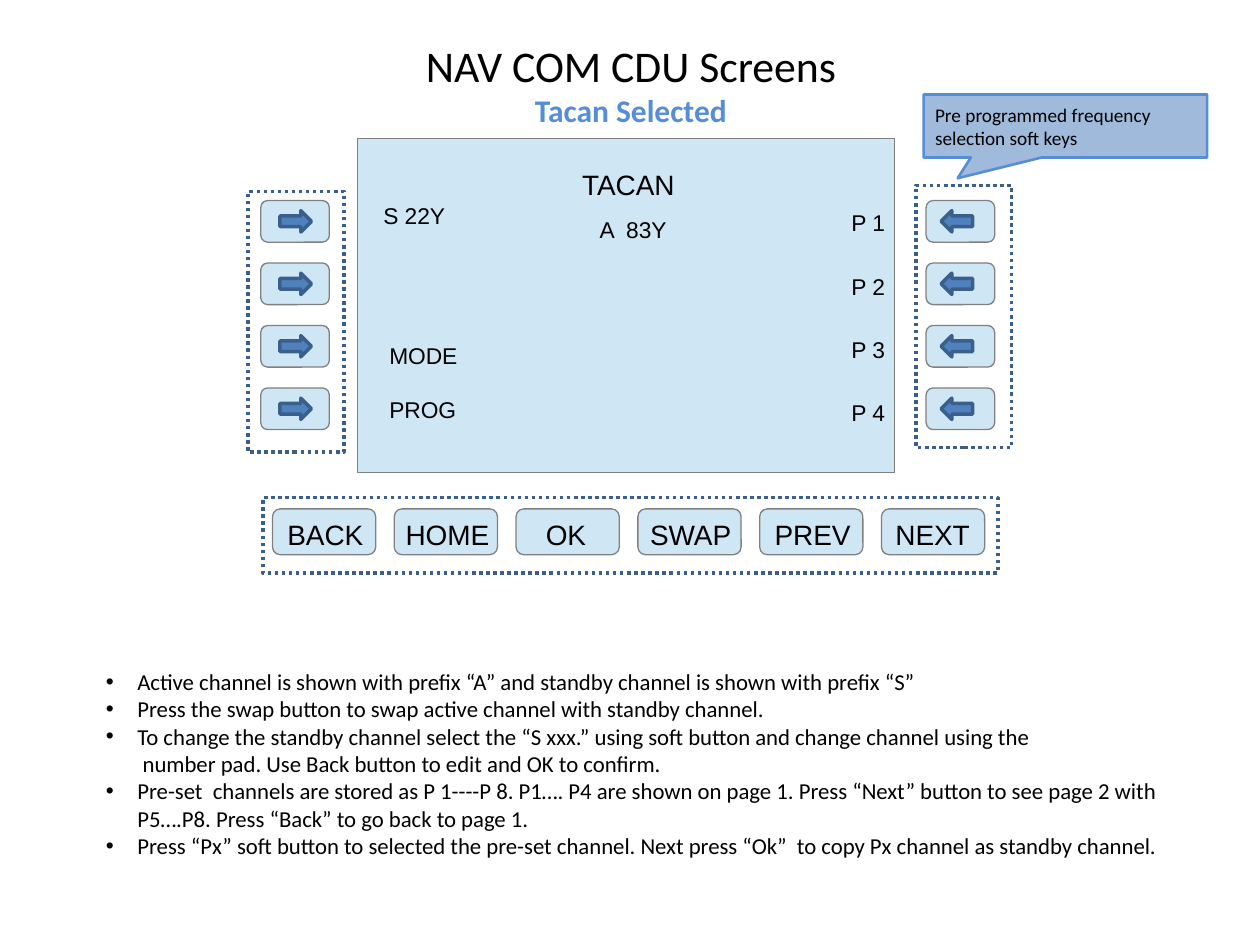
from collections import namedtuple
from dataclasses import dataclass

from lxml.etree import SubElement
from pptx import Presentation
from pptx.dml.color import RGBColor
from pptx.enum.dml import MSO_LINE_DASH_STYLE as Dash
from pptx.enum.shapes import MSO_SHAPE as Shape
from pptx.enum.text import MSO_ANCHOR as Anchor, MSO_AUTO_SIZE as AutoSize, PP_ALIGN as Align
from pptx.oxml.ns import qn
from pptx.util import Pt

Box = namedtuple("Box", "left top width height")


@dataclass(frozen=True)
class Theme:
    ink: str = "000000"
    panel: str = "CFE7F5"
    panel_line: str = "808080"
    arrow: str = "4F81BD"
    frame: str = "3A5F8C"
    accent: str = "558ED5"
    body_font: str = "Calibri"
    screen_font: str = "Arial"
    title_size: float = 25
    subtitle_size: float = 18
    key_size: float = 16
    label_size: float = 13
    note_size: float = 11


THEME = Theme()


def points(box):
    return [Pt(round(value, 2)) for value in box]


def write(frame, text, size=THEME.label_size, font=THEME.body_font, color=THEME.ink,
          bold=False, align=Align.LEFT, margin=0, bullet=False):
    para = frame.paragraphs[0]
    if para.runs:
        para = frame.add_paragraph()
    para.alignment = align
    span = para.add_run()
    span.text = text
    span.font.size = Pt(size)
    span.font.name = font
    span.font.bold = bold
    span.font.color.rgb = RGBColor.from_string(color)
    if margin:
        props = para._p.get_or_add_pPr()
        props.set("marL", str(Pt(margin)))
        props.set("indent", str(Pt(-margin if bullet else 0)))
        if bullet:
            SubElement(props, qn("a:buFont"), typeface="Arial")
            SubElement(props, qn("a:buChar"), char="•")


def add_label(page, text, box, size=THEME.label_size):
    frame = page.shapes.add_textbox(*points(box)).text_frame
    frame.word_wrap = False
    frame.auto_size = AutoSize.SHAPE_TO_FIT_TEXT
    frame.margin_left = frame.margin_right = Pt(6.5)
    frame.margin_top = frame.margin_bottom = Pt(3)
    write(frame, text, size=size, font=THEME.screen_font)


def add_figure(page, kind, box, line, width, fill=None, dash=None):
    figure = page.shapes.add_shape(kind, *points(box))
    figure.shadow.inherit = False
    if fill:
        figure.fill.solid()
        figure.fill.fore_color.rgb = RGBColor.from_string(fill)
    else:
        figure.fill.background()
    figure.line.color.rgb = RGBColor.from_string(line)
    figure.line.width = Pt(width)
    if dash:
        figure.line.dash_style = dash
    return figure


def add_key(page, box):
    add_figure(page, Shape.ROUNDED_RECTANGLE, box, THEME.panel_line, 0, THEME.panel)


def add_dotted_frame(page, box):
    add_figure(page, Shape.RECTANGLE, box, THEME.frame, 2, dash=Dash.ROUND_DOT)


def add_title(page, box):
    title = page.shapes.title
    title.left, title.top, title.width, title.height = points(box)
    frame = title.text_frame
    frame.auto_size = AutoSize.NONE
    frame.vertical_anchor = Anchor.MIDDLE
    frame.margin_bottom = Pt(33.6)
    write(frame, "NAV COM CDU Screens", size=THEME.title_size, align=Align.CENTER)
    write(frame, "Tacan Selected", size=THEME.subtitle_size, color=THEME.accent,
          bold=True, align=Align.CENTER)


def add_screen(page, box):
    add_figure(page, Shape.RECTANGLE, box, THEME.panel_line, 0, THEME.panel)
    labels = [
        ("TACAN", 121.7, 13.7, 66, THEME.key_size),
        ("A  83Y", 131.7, 41, 52, THEME.label_size),
        ("S 22Y", 8, 33.2, 49, THEME.label_size),
        ("MODE", 11.5, 113, 52.5, THEME.label_size),
        ("PROG", 11.5, 144, 52, THEME.label_size),
    ]
    labels += [(f"P {row + 1}", 275.5, 37.2 + 36.2 * row, 32.4, THEME.label_size)
               for row in range(4)]
    for text, left, top, width, size in labels:
        add_label(page, text, Box(box.left + left, box.top + top, width, size + 9), size)


def add_side_keys(page, box, key_left, key_top, arrow, arrow_left):
    add_dotted_frame(page, box)
    for row in range(4):
        key = Box(box.left + key_left, box.top + key_top + 35.7 * row, 39.2, 23.8)
        add_key(page, key)
        add_figure(page, arrow, Box(key.left + arrow_left, key.top + 5.8, 18, 12.2),
                   THEME.frame, 2, THEME.arrow)


def add_bottom_keys(page, box):
    add_dotted_frame(page, box)
    widths = {"BACK": 57, "HOME": 61, "OK": 40, "SWAP": 60, "PREV": 57, "NEXT": 58}
    for column, (text, width) in enumerate(widths.items()):
        key = Box(box.left + 5.3 + 69.6 * column, box.top + 6.4, 59, 26.2)
        add_key(page, key)
        left = key.left + (key.width - width) / 2 + 1
        add_label(page, text, Box(left, key.top + 2.2, width, 25), THEME.key_size)


def add_callout(page, box):
    callout = add_figure(page, Shape.RECTANGULAR_CALLOUT, box, THEME.accent, 1.5, THEME.arrow)
    callout.adjustments[0], callout.adjustments[1] = -0.38, 0.83
    color = callout.fill._xPr.find(qn("a:solidFill"))[0]
    SubElement(color, qn("a:alpha"), val="54000")
    frame = callout.text_frame
    frame.word_wrap = True
    frame.vertical_anchor = Anchor.MIDDLE
    frame.margin_left = frame.margin_right = Pt(6.5)
    write(frame, "Pre programmed frequency selection soft keys", size=THEME.note_size)


def add_notes(page, box):
    frame = page.shapes.add_textbox(*points(box)).text_frame
    frame.word_wrap = True
    frame.auto_size = AutoSize.SHAPE_TO_FIT_TEXT
    frame.margin_left = frame.margin_right = Pt(6.5)
    notes = [
        ("Active channel is shown with prefix “A” and standby channel is shown with prefix “S”", True),
        ("Press the swap button to swap active channel with standby channel.", True),
        ("To change the standby channel select the “S xxx.” using soft button and change channel using the", True),
        ("number pad. Use Back button to edit and OK to confirm.", False),
        ("Pre-set  channels are stored as P 1----P 8. P1…. P4 are shown on page 1. "
         "Press “Next” button to see page 2 with P5….P8. Press “Back” to go back to page 1.", True),
        ("Press “Px” soft button to selected the pre-set channel. "
         "Next press “Ok”  to copy Px channel as standby channel.", True),
    ]
    for text, bullet in notes:
        write(frame, text, margin=18 if bullet else 21, bullet=bullet)


def main():
    deck = Presentation()
    deck.slide_width, deck.slide_height = Pt(720), Pt(540)
    page = deck.slides.add_slide(deck.slide_layouts[5])
    add_title(page, Box(36.5, 18, 648, 90))
    add_screen(page, Box(204.5, 79.2, 306.7, 190.8))
    add_side_keys(page, Box(141.8, 109.4, 54.7, 149), 7.2, 5.2, Shape.RIGHT_ARROW, 11)
    add_side_keys(page, Box(523.4, 105.9, 54.7, 149.8), 5.8, 8.7, Shape.LEFT_ARROW, 8.6)
    add_bottom_keys(page, Box(150.4, 284.4, 419.8, 43.2))
    add_callout(page, Box(527.8, 54, 162, 36))
    add_notes(page, Box(54, 378, 646.6, 116.6))
    deck.save("out.pptx")


if __name__ == "__main__":
    main()
